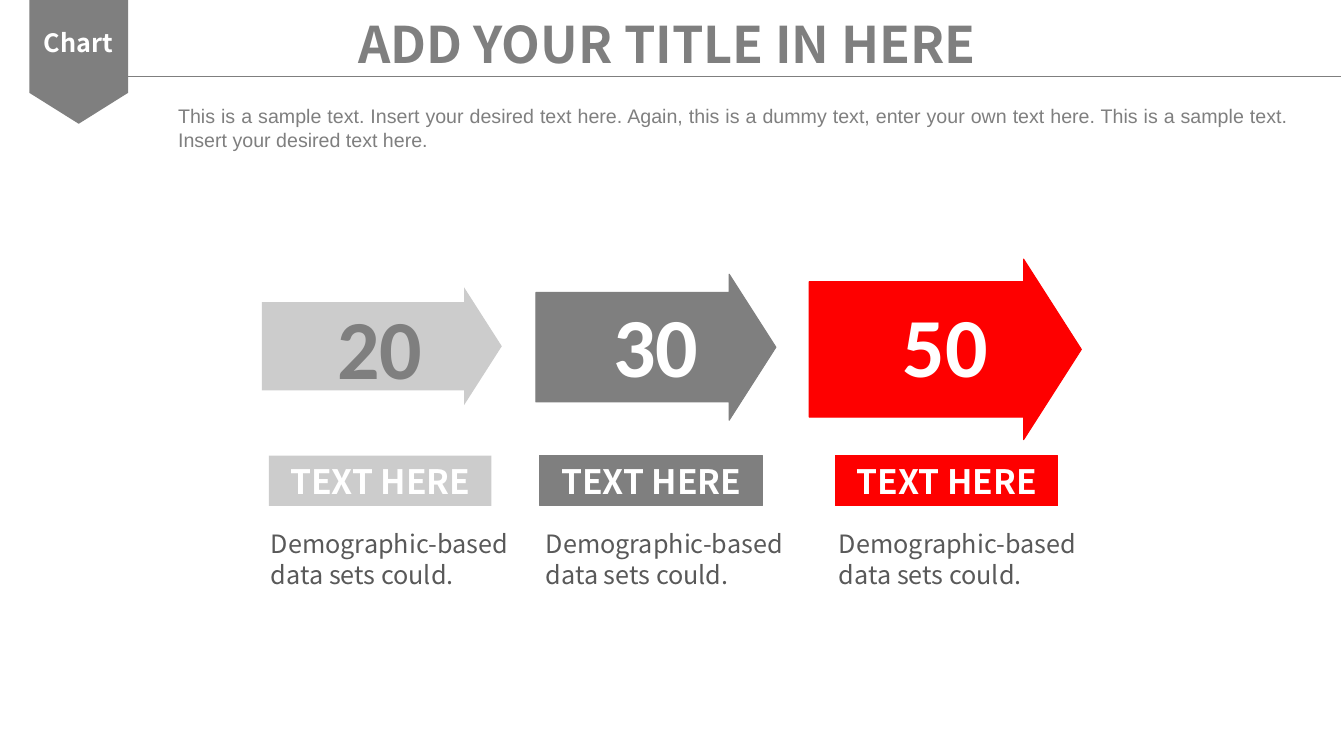
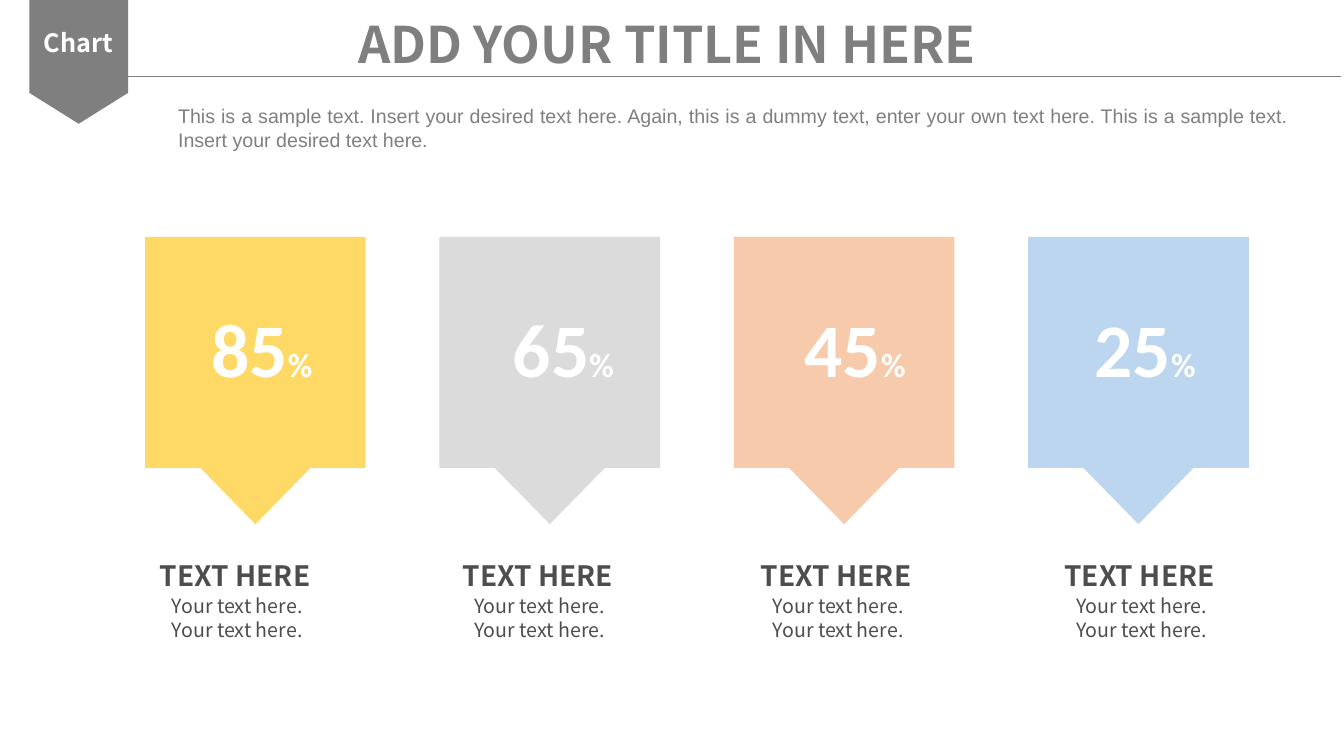
from collections import namedtuple

from lxml import etree
from pptx import Presentation
from pptx import util as u
from pptx.dml.color import RGBColor
from pptx.enum import shapes, text
from pptx.oxml.ns import qn

# Shared style
GREY, SILVER, RED, WHITE = "7F7F7F", "CCCCCC", "FE0000", "FFFFFF"
BODY, DARK = "595959", "4D4D4D"
HEAD_FONT, INTRO_FONT, NUMBER_FONT = "Noto Sans CJK SC", "Arial", "Calibri"
LINE_RATIO = 1.22
LEFT, CENTER, JUSTIFY = (text.PP_ALIGN.LEFT, text.PP_ALIGN.CENTER,
                         text.PP_ALIGN.JUSTIFY)
INTRO = ("This is a sample text. Insert your desired text here. Again, this "
         "is a dummy text, enter your own text here. This is a sample text. "
         "Insert your desired text here.")

# Slide 1: arrow box, then offsets of the parts from the arrow's left edge
Arrow = namedtuple("Arrow", "value box fill ink outlined number_dx number_top "
                            "label_dx note_dx")
ARROWS = [
    Arrow("20", (6.6, 7.24, 6.05, 2.97), SILVER, GREY, False,
          1.45, 7.29, 0.18, -0.02),
    Arrow("30", (13.51, 6.91, 6.05, 3.68), GREY, WHITE, True,
          1.5, 7.24, 0.1, 0),
    Arrow("50", (20.4, 6.53, 6.86, 4.55), RED, WHITE, True,
          1.9, 7.24, 0.66, 0.5),
]

# Slide 2: equal callouts, with offsets of the parts from the left edge
Callout = namedtuple("Callout", "value fill number_dx heading_dx")
CALLOUTS = [
    Callout("85", "FFD966", 1.42, 0.12),
    Callout("65", "DBDBDB", 1.6, 0.33),
    Callout("45", "F7CAAC", 1.53, 0.43),
    Callout("25", "BBD6EE", 1.42, 0.66),
]
CALLOUT_LEFT, CALLOUT_TOP, CALLOUT_PITCH = 3.66, 5.97, 7.42
CALLOUT_WIDTH, CALLOUT_BODY, CALLOUT_TIP = 5.56, 5.82, 1.42


def rgb(value):
    return RGBColor.from_string(value)


def cm(*lengths):
    return [u.Cm(length) for length in lengths]


def paint(shape, fill, outline=None):
    shape.shadow.inherit = False
    shape.fill.solid()
    shape.fill.fore_color.rgb = rgb(fill)
    if outline:
        shape.line.color.rgb = rgb(outline)
        shape.line.width = u.Pt(0.75)
    else:
        shape.line.fill.background()


def write(shape, words, size, color, font=HEAD_FONT, bold=False, align=LEFT,
          wrap=True):
    frame = shape.text_frame
    frame.text = words
    frame.word_wrap = wrap
    for paragraph in frame.paragraphs:
        paragraph.alignment = align
        paragraph.line_spacing = u.Pt(round(size * LINE_RATIO, 1))
        for run in paragraph.runs:
            run.font.name = font
            run.font.size = u.Pt(size)
            run.font.bold = bold
            run.font.color.rgb = rgb(color)
    return frame


def add_text(slide, box, words, size, color, **style):
    return write(slide.shapes.add_textbox(*cm(*box)), words, size, color,
                 **style)


def add_preset(slide, kind, box, fill, outline=None):
    shape = slide.shapes.add_shape(kind, *cm(*box))
    paint(shape, fill, outline)
    return shape


def add_outline(slide, points, fill):
    start, *rest = [cm(*point) for point in points]
    builder = slide.shapes.build_freeform(*start, scale=1.0)
    builder.add_line_segments(rest, close=True)
    paint(builder.convert_to_shape(), fill)


def add_percentage(slide, left, top, value, size, sign_size, color, align):
    frame = add_text(slide, (left, top, 3.05, 2.7), value, size, color,
                     font=NUMBER_FONT, bold=True, align=align, wrap=False)
    sign = frame.paragraphs[0].add_run()
    sign.text = "%"
    sign.font.name = NUMBER_FONT
    sign.font.size = u.Pt(sign_size)
    sign.font.bold = True
    sign.font.color.rgb = rgb(color)


def add_tag(slide, left, top, width, height):
    """Ribbon in the corner, with its point at the bottom."""
    right, shoulder = left + width, top + height * 0.75
    add_outline(slide, [(left, top), (right, top), (right, shoulder),
                        (left + width / 2, top + height), (left, shoulder)],
                GREY)
    label = add_preset(slide, shapes.MSO_SHAPE.RECTANGLE,
                       (left + 0.1, top + 0.56, width - 0.23, 1.02), GREY)
    write(label, "Chart", 18, WHITE, bold=True, align=CENTER, wrap=False)


def add_header(slide):
    add_tag(slide, 0.74, 0, 2.49, 3.12)

    title = slide.shapes.title
    title.left, title.top, title.width, title.height = cm(4.62, 0.18,
                                                          24.38, 1.78)
    frame = write(title, "ADD YOUR TITLE IN HERE", 36, GREY, bold=True,
                  align=CENTER)
    frame.vertical_anchor = text.MSO_ANCHOR.TOP
    frame.auto_size = text.MSO_AUTO_SIZE.NONE

    rule = slide.shapes.add_connector(shapes.MSO_CONNECTOR.STRAIGHT,
                                      *cm(3.18, 1.93, 33.81, 1.93))
    rule.line.color.rgb = rgb(GREY)
    rule.line.width = u.Pt(0.5)
    etree.SubElement(rule._element.spPr, qn("a:effectLst"))

    intro = add_text(slide, (4.24, 2.62, 28.5, 2.69), INTRO, 14, GREY,
                     font=INTRO_FONT, align=JUSTIFY)
    intro.margin_top = intro.margin_bottom = 0


def add_arrow_column(slide, arrow):
    left = arrow.box[0]
    outline = arrow.fill if arrow.outlined else None
    body = add_preset(slide, shapes.MSO_SHAPE.RIGHT_ARROW, arrow.box,
                      arrow.fill, outline)
    body.adjustments[0], body.adjustments[1] = 0.75, 0.32
    add_percentage(slide, left + arrow.number_dx, arrow.number_top,
                   arrow.value, 60, 16, arrow.ink, CENTER)
    label = add_preset(slide, shapes.MSO_SHAPE.RECTANGLE,
                       (left + arrow.label_dx, 11.48, 5.61, 1.27),
                       arrow.fill, outline)
    write(label, "TEXT HERE", 24, WHITE, bold=True, align=CENTER)
    add_text(slide, (left + arrow.note_dx, 13.18, 6.88, 1.78),
             "Demographic-based data sets could.", 18, BODY)


def add_callout_column(slide, callout, left, top):
    right, bottom = left + CALLOUT_WIDTH, top + CALLOUT_BODY
    quarter = CALLOUT_WIDTH / 4
    add_outline(slide, [(left, top), (right, top), (right, bottom),
                        (right - quarter, bottom),
                        (left + 2 * quarter, bottom + CALLOUT_TIP),
                        (left + quarter, bottom), (left, bottom)],
                callout.fill)
    add_percentage(slide, left + callout.number_dx, top + 1.47,
                   callout.value, 54, 24, WHITE, LEFT)
    # Heading with two indented lines below
    heading_left = left + callout.heading_dx
    add_text(slide, (heading_left, top + 7.97, 4.6, 1.12), "TEXT HERE", 20,
             DARK, bold=True)
    add_text(slide, (heading_left + 0.3, top + 8.86, 4.6, 1.45),
             "Your text here.\nYour text here.", 14, DARK)


def new_slide(deck):
    slide = deck.slides.add_slide(deck.slide_layouts.get_by_name("Title Only"))
    add_header(slide)
    return slide


def main():
    deck = Presentation()
    deck.slide_width, deck.slide_height = cm(33.88, 19.05)

    arrows_slide = new_slide(deck)
    for arrow in ARROWS:
        add_arrow_column(arrows_slide, arrow)

    callouts_slide = new_slide(deck)
    for index, callout in enumerate(CALLOUTS):
        add_callout_column(callouts_slide, callout,
                           CALLOUT_LEFT + index * CALLOUT_PITCH, CALLOUT_TOP)

    deck.save("out.pptx")


if __name__ == "__main__":
    main()
